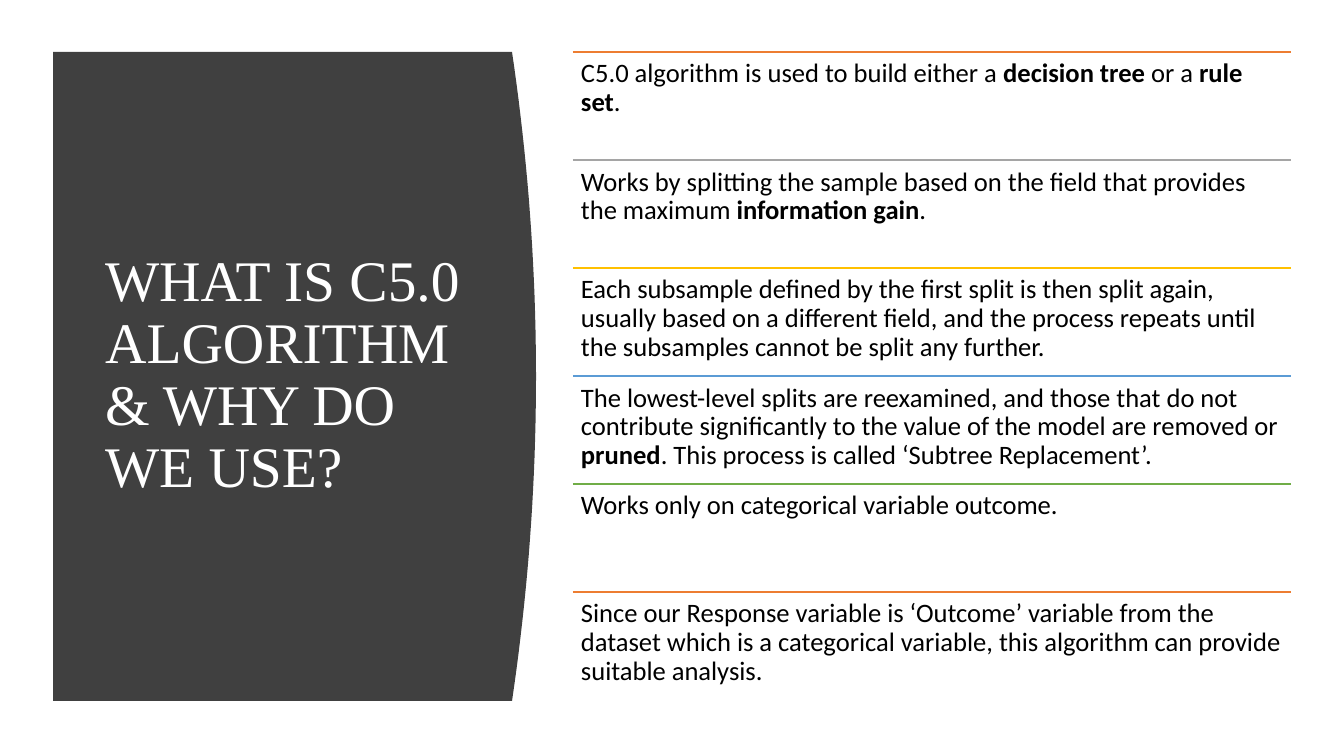
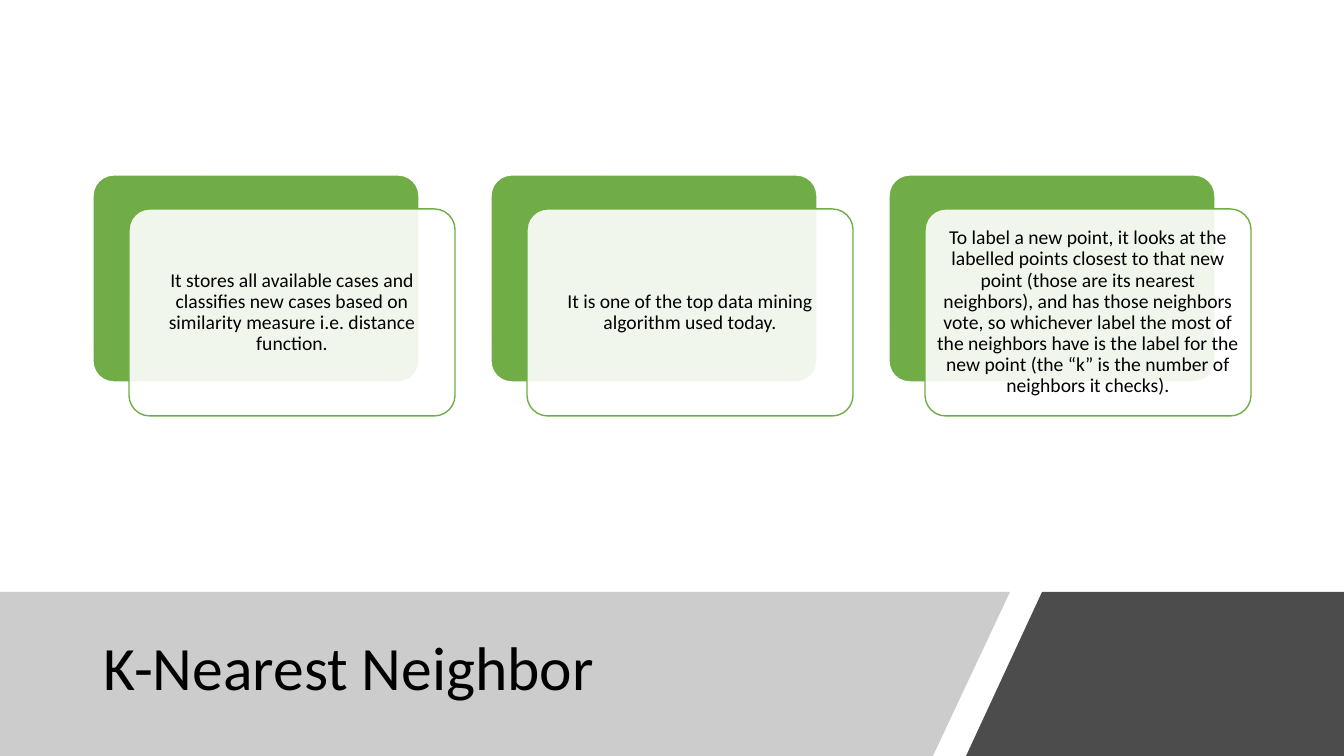
from lxml import etree
from pptx import Presentation
from pptx import util as u
from pptx.dml.color import RGBColor
from pptx.enum import shapes, text
from pptx.oxml.ns import qn

EMU_PER_PX = 12192000 / 1344
WHITE = RGBColor(0xFF, 0xFF, 0xFF)
BLACK = RGBColor(0x00, 0x00, 0x00)
CHARCOAL = RGBColor(0x40, 0x40, 0x40)
GRAY = RGBColor(0x80, 0x80, 0x80)
ORANGE = RGBColor(0xED, 0x7D, 0x31)
SILVER = RGBColor(0xA5, 0xA5, 0xA5)
GOLD = RGBColor(0xFF, 0xC0, 0x00)
BLUE = RGBColor(0x5B, 0x9B, 0xD5)
GREEN = RGBColor(0x70, 0xAD, 0x47)


def px(*lengths):
    """Turn pixel lengths into a list of EMU lengths."""
    return [u.Emu(round(length * EMU_PER_PX)) for length in lengths]


def paint(shape, color, opacity=100, line=None):
    """Fill a shape, optionally see-through, with a 1 pt line or none."""
    shape.shadow.inherit = False
    shape.fill.solid()
    shape.fill.fore_color.rgb = color
    if opacity < 100:
        fill_color = shape.element.spPr.find(qn("a:solidFill"))[0]
        etree.SubElement(fill_color, qn("a:alpha"), val=str(opacity * 1000))
    if line is None:
        shape.line.fill.background()
    else:
        shape.line.color.rgb = line
        shape.line.width = u.Pt(1)


presentation = Presentation()
presentation.slide_width, presentation.slide_height = px(1344, 756)
title_layout = presentation.slide_layouts.get_by_name("Title Only")

# Each outline is a list of corner points; the side panel bulges to the right.
TOP, BOTTOM, STEPS = 52, 701, 40
bulge = []
for step in range(STEPS + 1):
    t = step / STEPS
    bulge.append((512 + 96 * t * (1 - t), TOP + (BOTTOM - TOP) * t))
side_panel = [(53, TOP), *bulge, (53, BOTTOM)]
left_band = [(0, 592), (1010, 592), (933, 756), (0, 756)]
right_band = [(1042, 592), (1344, 592), (1344, 756), (966, 756)]

# Title, its box, font, size, colour, and the panels (outline, colour, opacity)
slide_heads = [
    ("WHAT IS C5.0 ALGORITHM & WHY DO WE USE?", (95, 112, 377, 528),
     "Times New Roman", 41, WHITE, [(side_panel, CHARCOAL, 100)]),
    ("K-Nearest Neighbor", (93, 610, 851, 121),
     "Calibri", 44, BLACK, [(left_band, GRAY, 40), (right_band, BLACK, 70)]),
]
for wording, box, font_name, size, color, panels in slide_heads:
    slide = presentation.slides.add_slide(title_layout)
    title = slide.shapes.title
    title.left, title.top, title.width, title.height = px(*box)
    frame = title.text_frame
    frame.text = wording
    frame.word_wrap = True
    frame.auto_size = text.MSO_AUTO_SIZE.NONE
    frame.vertical_anchor = text.MSO_ANCHOR.MIDDLE
    paragraph = frame.paragraphs[0]
    paragraph.alignment = text.PP_ALIGN.LEFT
    paragraph.line_spacing = 0.9
    paragraph.font.name = font_name
    paragraph.font.size = u.Pt(size)
    paragraph.font.color.rgb = color
    for outline, panel_color, opacity in panels:
        points = [px(*point) for point in outline]
        builder = slide.shapes.build_freeform(*points[0])
        builder.add_line_segments(points[1:], close=True)
        panel = builder.convert_to_shape()
        paint(panel, panel_color, opacity)
        title.element.addprevious(panel.element)

c5_slide, neighbor_slide = presentation.slides

# Ruled rows; every second piece of a row is bold.
rows = [
    (ORANGE, ["C5.0 algorithm is used to build either a ", "decision tree",
              " or a ", "rule set", "."]),
    (SILVER, ["Works by splitting the sample based on the field that provides "
              "the maximum ", "information gain", "."]),
    (GOLD, ["Each subsample defined by the first split is then split again, "
            "usually based on a different field, and the process repeats "
            "until the subsamples cannot be split any further."]),
    (BLUE, ["The lowest-level splits are reexamined, and those that do not "
            "contribute significantly to the value of the model are removed "
            "or ", "pruned", ". This process is called ‘Subtree Replacement’."]),
    (GREEN, ["Works only on categorical variable outcome."]),
    (ORANGE, ["Since our Response variable is ‘Outcome’ variable from the "
              "dataset which is a categorical variable, this algorithm can "
              "provide suitable analysis."]),
]
ROW_LEFT, ROW_WIDTH, ROW_HEIGHT = 573, 718, 108
for index, (color, pieces) in enumerate(rows):
    row_top = TOP + index * ROW_HEIGHT
    rule = c5_slide.shapes.add_connector(
        shapes.MSO_CONNECTOR.STRAIGHT,
        *px(ROW_LEFT, row_top, ROW_LEFT + ROW_WIDTH, row_top))
    rule.line.color.rgb = color
    rule.line.width = u.Pt(1)
    etree.SubElement(rule.element.spPr, qn("a:effectLst"))

    row_box = c5_slide.shapes.add_textbox(
        *px(ROW_LEFT, row_top, ROW_WIDTH, ROW_HEIGHT))
    frame = row_box.text_frame
    frame.word_wrap = True
    (frame.margin_left, frame.margin_top,
     frame.margin_right, frame.margin_bottom) = px(8, 8, 8, 8)
    paragraph = frame.paragraphs[0]
    paragraph.line_spacing = 0.9
    paragraph.font.name = "Calibri"
    paragraph.font.size = u.Pt(19)
    paragraph.font.color.rgb = BLACK
    for position, piece in enumerate(pieces):
        run = paragraph.add_run()
        run.text = piece
        if position % 2:
            run.font.bold = True

# Pairs of cards: a green one behind, a see-through one with the text in front.
cards = [
    "It stores all available cases and classifies new cases based on "
    "similarity measure i.e. distance function.",
    "It is one of the top data mining algorithm used today.",
    "To label a new point, it looks at the labelled points closest to that "
    "new point (those are its nearest neighbors), and has those neighbors "
    "vote, so whichever label the most of the neighbors have is the label for "
    "the new point (the “k” is the number of neighbors it checks).",
]
CARD_LEFT, CARD_TOP, CARD_WIDTH, CARD_HEIGHT, CARD_STEP = 93, 175, 326, 207, 398
for index, wording in enumerate(cards):
    card_left = CARD_LEFT + index * CARD_STEP
    for shift_x, shift_y, color, opacity, line in [
            (0, 0, GREEN, 100, WHITE), (36, 34, WHITE, 90, GREEN)]:
        card = neighbor_slide.shapes.add_shape(
            shapes.MSO_SHAPE.ROUNDED_RECTANGLE,
            *px(card_left + shift_x, CARD_TOP + shift_y,
                CARD_WIDTH, CARD_HEIGHT))
        card.adjustments[0] = 0.1
        paint(card, color, opacity, line)
    frame = card.text_frame
    frame.text = wording
    frame.word_wrap = True
    frame.vertical_anchor = text.MSO_ANCHOR.MIDDLE
    (frame.margin_left, frame.margin_top,
     frame.margin_right, frame.margin_bottom) = px(6, 6, 6, 6)
    paragraph = frame.paragraphs[0]
    paragraph.alignment = text.PP_ALIGN.CENTER
    paragraph.line_spacing = 0.9
    paragraph.font.name = "Calibri"
    paragraph.font.size = u.Pt(14)
    paragraph.font.color.rgb = BLACK

presentation.save("out.pptx")
